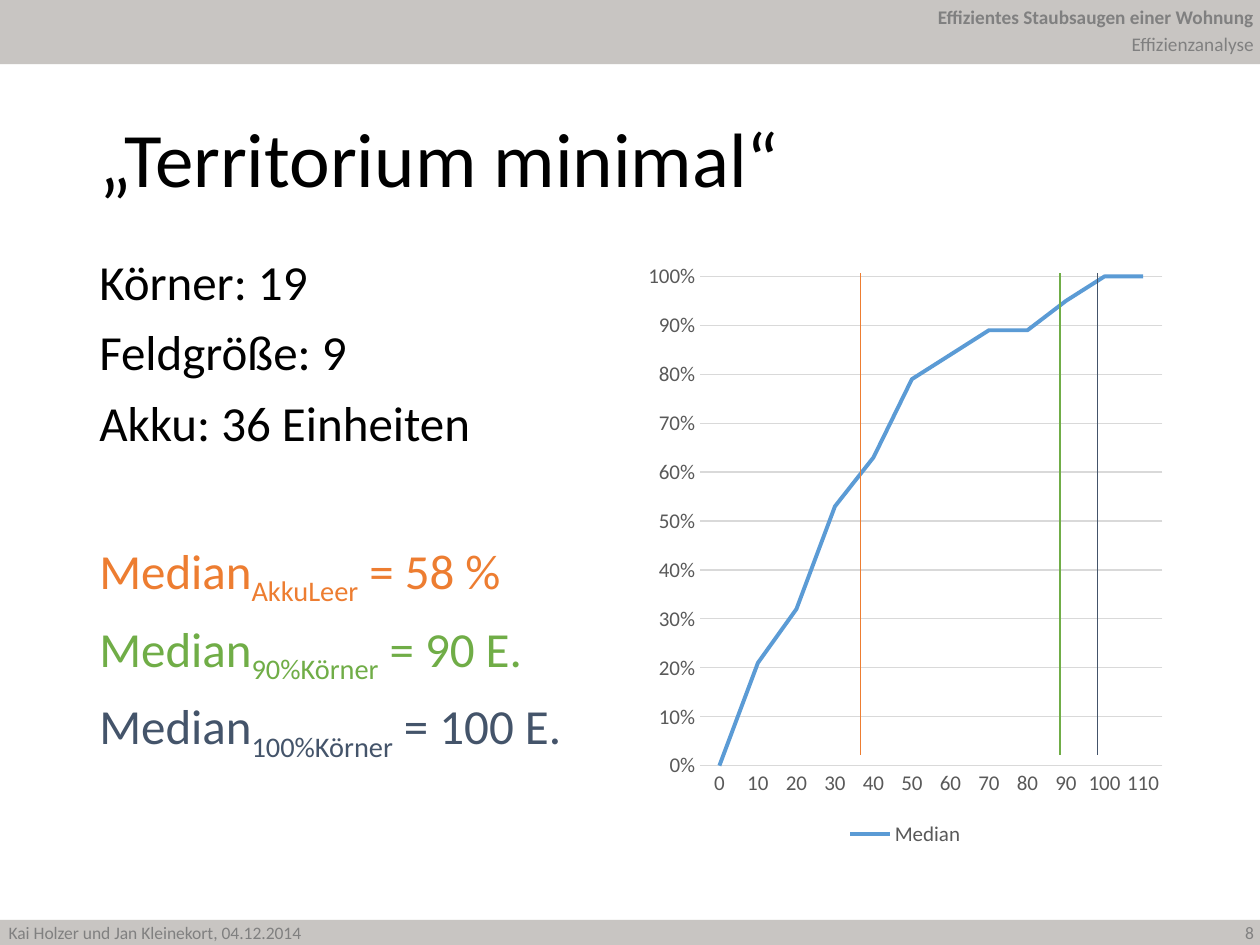
from lxml.etree import SubElement
from pptx import Presentation
from pptx.chart.data import CategoryChartData
from pptx.dml.color import RGBColor
from pptx.enum.chart import XL_CHART_TYPE, XL_LEGEND_POSITION, XL_TICK_MARK
from pptx.enum.shapes import MSO_CONNECTOR, MSO_SHAPE
from pptx.enum.text import MSO_ANCHOR, PP_ALIGN
from pptx.oxml.ns import qn
from pptx.util import Inches, Pt

FONT = "Calibri"
COLORS = {
    "band": "766E67", "muted": "808080", "text": "000000",
    "axis": "595959", "grid": "D9D9D9", "median": "5B9BD5",
    "empty": "ED7D31", "ninety": "70AD47", "full": "44546A",
}
COLUMNS, ROWS = 100, 75
CELL = Inches(0.1)

FACTS = ["Körner: 19", "Feldgröße: 9", "Akku: 36 Einheiten"]
MEDIANS = [
    ("AkkuLeer", " = 58 %", "empty"),
    ("90%Körner", " = 90 E.", "ninety"),
    ("100%Körner", " = 100 E.", "full"),
]
MARKERS = [(68.3, "empty"), (84.1, "ninety"), (87.1, "full")]
SHARES = [0, 0.21, 0.32, 0.53, 0.63, 0.79, 0.84, 0.89, 0.89, 0.95, 1, 1]


def grid(*cells):
    """Turn counts of grid columns and rows into lengths."""
    return [round(cell * CELL) for cell in cells]


def color(name):
    return RGBColor.from_string(COLORS[name])


def style_font(font, size, color_name, bold=False):
    font.name = FONT
    font.size = Pt(size)
    font.bold = bold
    font.color.rgb = color(color_name)


def style_line(line, color_name, width):
    line.color.rgb = color(color_name)
    line.width = Pt(width)


def add_run(paragraph, text, size, color_name, bold=False, baseline=None):
    run = paragraph.add_run()
    run.text = text
    style_font(run.font, size, color_name, bold)
    if baseline:
        run.font._element.set("baseline", str(baseline))


def add_band(slide, top, height):
    band = slide.shapes.add_shape(MSO_SHAPE.RECTANGLE, *grid(0, top, COLUMNS, height))
    band.shadow.inherit = False
    band.line.fill.background()
    band.fill.solid()
    band.fill.fore_color.rgb = color("band")
    fill_color = band._element.spPr.find(qn("a:solidFill"))[0]
    SubElement(fill_color, qn("a:alpha")).set("val", "40000")


def add_frame(slide, cells, wrap=True):
    frame = slide.shapes.add_textbox(*grid(*cells)).text_frame
    frame.word_wrap = wrap
    return frame


def add_label(slide, cells, text, size, align=PP_ALIGN.RIGHT, bold=False):
    paragraph = add_frame(slide, cells, wrap=False).paragraphs[0]
    paragraph.alignment = align
    add_run(paragraph, text, size, "muted", bold)


def add_title(slide, text):
    frame = add_frame(slide, (6.9, 7.3, 86.2, 11.2))
    frame.vertical_anchor = MSO_ANCHOR.MIDDLE
    frame.paragraphs[0].line_spacing = 0.9
    add_run(frame.paragraphs[0], text, 44, "text")


def add_body(slide):
    frame = add_frame(slide, (6.9, 20, 42.5, 47.6))
    paragraphs = [frame.paragraphs[0]]
    paragraphs += [frame.add_paragraph() for _ in (FACTS + MEDIANS)[1:]]
    for paragraph in paragraphs:
        paragraph.line_spacing = 0.9
        paragraph.space_before = Pt(10)
    for paragraph, fact in zip(paragraphs, FACTS):
        add_run(paragraph, fact, 28, "text")
    medians = paragraphs[len(FACTS):]
    medians[0].space_before = Pt(51)
    for paragraph, (index, value, color_name) in zip(medians, MEDIANS):
        add_run(paragraph, "Median", 28, color_name)
        add_run(paragraph, index, 28, color_name, baseline=-25000)
        add_run(paragraph, value, 28, color_name)


def style_axis(axis):
    axis.major_tick_mark = XL_TICK_MARK.NONE
    axis.minor_tick_mark = XL_TICK_MARK.NONE
    style_font(axis.tick_labels.font, 12, "axis")


def add_median_chart(slide):
    data = CategoryChartData(number_format="0%")
    data.categories = [str(10 * step) for step in range(len(SHARES))]
    data.add_series("Median", SHARES)
    chart = slide.shapes.add_chart(
        XL_CHART_TYPE.LINE, *grid(50.6, 20, 42.5, 47.6), data).chart
    style_font(chart.font, 10, "text")
    chart.has_title = False
    chart.has_legend = True
    chart.legend.position = XL_LEGEND_POSITION.BOTTOM
    chart.legend.include_in_layout = False
    style_font(chart.legend.font, 12, "axis")

    style_axis(chart.category_axis)
    style_line(chart.category_axis.format.line, "grid", 0.75)
    value_axis = chart.value_axis
    style_axis(value_axis)
    value_axis.format.line.fill.background()
    value_axis.minimum_scale, value_axis.maximum_scale = 0, 1
    value_axis.major_unit = 0.1
    value_axis.tick_labels.number_format = "0%"
    value_axis.tick_labels.number_format_is_linked = False
    style_line(value_axis.major_gridlines.format.line, "grid", 0.75)

    plot = chart.plots[0]
    plot.vary_by_categories = False
    series = plot.series[0]
    series.smooth = False
    style_line(series.format.line, "median", 2.25)


def add_marker(slide, column, color_name):
    marker = slide.shapes.add_connector(
        MSO_CONNECTOR.STRAIGHT, *grid(column, 21.7, column, 59.9))
    style_line(marker.line, color_name, 1)
    SubElement(marker._element.spPr, qn("a:effectLst"))


def main():
    presentation = Presentation()
    presentation.slide_width, presentation.slide_height = grid(COLUMNS, ROWS)
    slide = presentation.slides.add_slide(presentation.slide_layouts[6])

    add_band(slide, 73, 2.1)
    add_band(slide, 0, 5.1)
    add_label(slide, (-0.3, 72.7, 25.7, 2.7),
              "Kai Holzer und Jan Kleinekort, 04.12.2014", 10, PP_ALIGN.LEFT)
    add_label(slide, (95.8, 72.7, 4.7, 2.7), "8", 10)
    add_label(slide, (73, -0.1, 27.5, 2.9),
              "Effizientes Staubsaugen einer Wohnung", 11, bold=True)
    add_label(slide, (88.6, 2.1, 11.9, 2.9), "Effizienzanalyse", 11)
    add_title(slide, "„Territorium minimal“")
    add_body(slide)
    add_median_chart(slide)
    for column, color_name in MARKERS:
        add_marker(slide, column, color_name)

    presentation.save("out.pptx")


if __name__ == "__main__":
    main()
